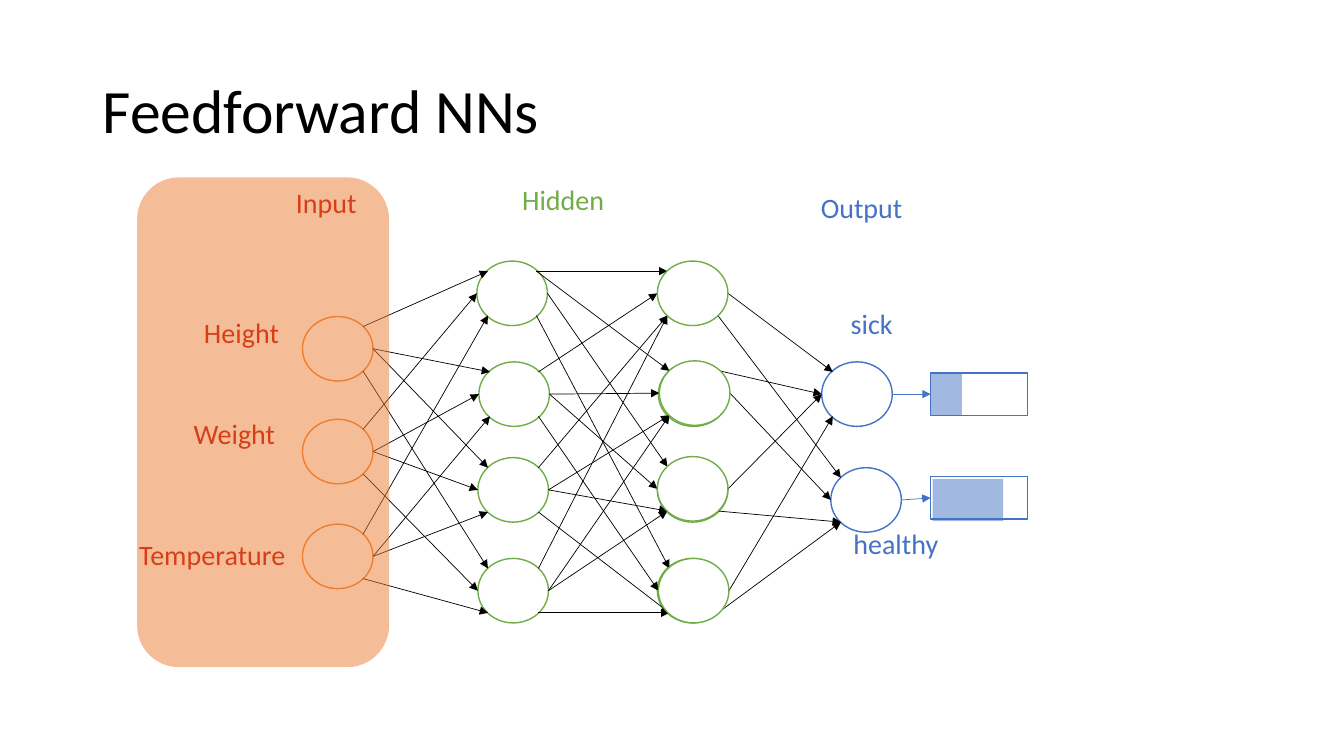
import dataclasses
import typing

import lxml.etree
import pptx
import pptx.dml.color
import pptx.enum.shapes
import pptx.enum.text
import pptx.oxml.ns
import pptx.util

SHAPES = pptx.enum.shapes.MSO_SHAPE
ALIGN = pptx.enum.text.PP_ALIGN
ANCHOR = pptx.enum.text.MSO_ANCHOR
EMU_PER_PX = 9144
FONT = "Calibri"
BLACK, WHITE, RED = "000000", "FFFFFF", "C00000"
ORANGE, GREEN, BLUE = "ED7D31", "70AD47", "4472C4"
NODE_WIDTH, NODE_HEIGHT = 70, 64
PORTS = {
    "upper left": (0.15, 0.15), "left": (0, 0.5), "lower left": (0.15, 0.85),
    "upper right": (0.85, 0.15), "right": (1, 0.5), "lower right": (0.85, 0.85),
}


@dataclasses.dataclass(frozen=True)
class Node:
    left: int
    top: int
    color: str

    def port(self, name: str) -> tuple[int, int]:
        across, down = PORTS[name]
        return round(self.left + across * NODE_WIDTH), round(self.top + down * NODE_HEIGHT)


@dataclasses.dataclass(frozen=True)
class Fan:
    source: Node
    targets: list[Node]
    exits: list[str]
    entries: list[str]


@dataclasses.dataclass(frozen=True)
class Label:
    text: str
    left: int
    top: int
    width: int
    height: int
    color: str
    align: typing.Any = ALIGN.CENTER


@dataclasses.dataclass(frozen=True)
class Bar:
    left: int
    top: int
    fill_left: int
    fill_top: int
    fill_width: int


INPUTS = [Node(300, top, ORANGE) for top in (314, 416, 520)]
HIDDEN_FIRST = [Node(left, top, GREEN)
                for left, top in ((473, 259), (475, 359), (474, 454), (474, 554))]
HIDDEN_BACK = [Node(left, top, GREEN) for left, top in ((653, 359), (652, 454), (652, 554))]
HIDDEN_SECOND = [Node(left, top, GREEN)
                 for left, top in ((652, 259), (654, 358), (652, 453), (653, 554))]
OUTPUTS = [Node(815, 359, BLUE), Node(824, 464, BLUE)]

SPREAD = ["upper right", "right", "right", "lower right"]
TOP_SPREAD = ["upper right", "upper right", "right", "lower right"]
INPUT_FANS = [Fan(node, HIDDEN_FIRST, SPREAD, [entry] * 4)
              for node, entry in zip(INPUTS, ("upper left", "left", "lower left"))]
HIDDEN_FANS = [
    Fan(node, HIDDEN_SECOND, exits, [entry] * 4)
    for node, exits, entry in zip(
        HIDDEN_FIRST, (TOP_SPREAD, SPREAD, SPREAD, SPREAD),
        ("upper left", "left", "lower left", "lower left"))
]
OUTPUT_FANS = [
    Fan(node, OUTPUTS, exits, entries)
    for node, exits, entries in zip(
        HIDDEN_SECOND,
        (["right", "lower right"], ["upper right", "right"],
         ["right", "lower right"], ["right", "lower right"]),
        (["upper left"] * 2, ["left"] * 2, ["left", "lower left"], ["lower left"] * 2))
]
BAR_WIDTH, BAR_HEIGHT = 96, 42
BARS = [Bar(923, 370, 923, 370, 31), Bar(923, 473, 925, 475, 70)]
LABELS = [
    Label("Hidden", 508, 176, 176, 61, GREEN, ALIGN.LEFT),
    Label("Output", 754, 184, 201, 62, BLUE),
    Label("Input", 223, 179, 201, 89, RED),
    Label("sick", 764, 299, 201, 62, BLUE),
    Label("healthy", 788, 517, 201, 62, BLUE),
    Label("Height", 139, 308, 201, 89, RED),
    Label("Weight", 132, 408, 201, 89, RED),
    Label("Temperature", 86, 528, 249, 89, RED),
]


def px(length: int) -> pptx.util.Emu:
    return pptx.util.Emu(length * EMU_PER_PX)


def rgb(color: str) -> pptx.dml.color.RGBColor:
    return pptx.dml.color.RGBColor.from_string(color)


def write_text(shape, text: str, *, size: int, color: str, align=ALIGN.LEFT,
               anchor=ANCHOR.TOP, line_spacing: float = 1.0) -> None:
    frame = shape.text_frame
    frame.word_wrap = True
    frame.auto_size = pptx.enum.text.MSO_AUTO_SIZE.NONE
    frame.vertical_anchor = anchor
    paragraph = frame.paragraphs[0]
    paragraph.alignment = align
    paragraph.line_spacing = line_spacing
    run = paragraph.add_run()
    run.text = text
    run.font.name = FONT
    run.font.size = pptx.util.Pt(size)
    run.font.color.rgb = rgb(color)


def add_block(slide, kind, left: int, top: int, width: int, height: int, *,
              fill: str, line: str | None = None, opacity: int = 100) -> None:
    shape = slide.shapes.add_shape(kind, px(left), px(top), px(width), px(height))
    shape.shadow.inherit = False
    shape.fill.solid()
    shape.fill.fore_color.rgb = rgb(fill)
    if opacity < 100:
        color_element = shape.fill._xPr.find(".//" + pptx.oxml.ns.qn("a:srgbClr"))
        lxml.etree.SubElement(color_element, pptx.oxml.ns.qn("a:alpha"), val=str(opacity * 1000))
    if line is None:
        shape.line.fill.background()
    else:
        shape.line.color.rgb = rgb(line)
        shape.line.width = pptx.util.Pt(1)


def add_node(slide, node: Node) -> None:
    add_block(slide, SHAPES.FLOWCHART_CONNECTOR, node.left, node.top,
              NODE_WIDTH, NODE_HEIGHT, fill=WHITE, line=node.color)


def add_arrow(slide, start: tuple[int, int], end: tuple[int, int], color: str) -> None:
    connector = slide.shapes.add_connector(
        pptx.enum.shapes.MSO_CONNECTOR.STRAIGHT, *map(px, start + end))
    connector.line.color.rgb = rgb(color)
    connector.line.width = pptx.util.Pt(0.5)
    lxml.etree.SubElement(connector.line._get_or_add_ln(),
                          pptx.oxml.ns.qn("a:tailEnd"), type="triangle")
    lxml.etree.SubElement(connector._element.spPr, pptx.oxml.ns.qn("a:effectLst"))


def add_fan(slide, fan: Fan) -> None:
    for target, leave, enter in zip(fan.targets, fan.exits, fan.entries):
        add_arrow(slide, fan.source.port(leave), target.port(enter), BLACK)


def add_bar(slide, bar: Bar) -> None:
    add_block(slide, SHAPES.RECTANGLE, bar.left, bar.top, BAR_WIDTH, BAR_HEIGHT,
              fill=WHITE, line=BLUE)
    add_block(slide, SHAPES.RECTANGLE, bar.fill_left, bar.fill_top, bar.fill_width, BAR_HEIGHT,
              fill=BLUE, opacity=50)


def add_label(slide, label: Label) -> None:
    box = slide.shapes.add_textbox(
        px(label.left), px(label.top), px(label.width), px(label.height))
    write_text(box, label.text, size=20, color=label.color, align=label.align)


def main() -> None:
    presentation = pptx.Presentation()
    presentation.slide_width, presentation.slide_height = px(1333), px(750)
    slide = presentation.slides.add_slide(presentation.slide_layouts.get_by_name("Title Only"))
    title = slide.shapes.title
    title.left, title.top, title.width, title.height = map(px, (92, 40, 1150, 145))
    write_text(title, "Feedforward NNs", size=44, color=BLACK,
               anchor=ANCHOR.MIDDLE, line_spacing=0.9)

    for node in INPUTS + HIDDEN_FIRST + HIDDEN_BACK + OUTPUTS:
        add_node(slide, node)
    for fan in INPUT_FANS + HIDDEN_FANS + OUTPUT_FANS:
        add_fan(slide, fan)
    for node in HIDDEN_SECOND:
        add_node(slide, node)
    for node, bar in zip(OUTPUTS, BARS):
        add_bar(slide, bar)
        add_arrow(slide, node.port("right"), (bar.left, bar.top + BAR_HEIGHT // 2), BLUE)
    for label in LABELS:
        add_label(slide, label)
    add_block(slide, SHAPES.ROUNDED_RECTANGLE, 136, 176, 250, 486, fill=ORANGE, opacity=50)
    presentation.save("out.pptx")


if __name__ == "__main__":
    main()
